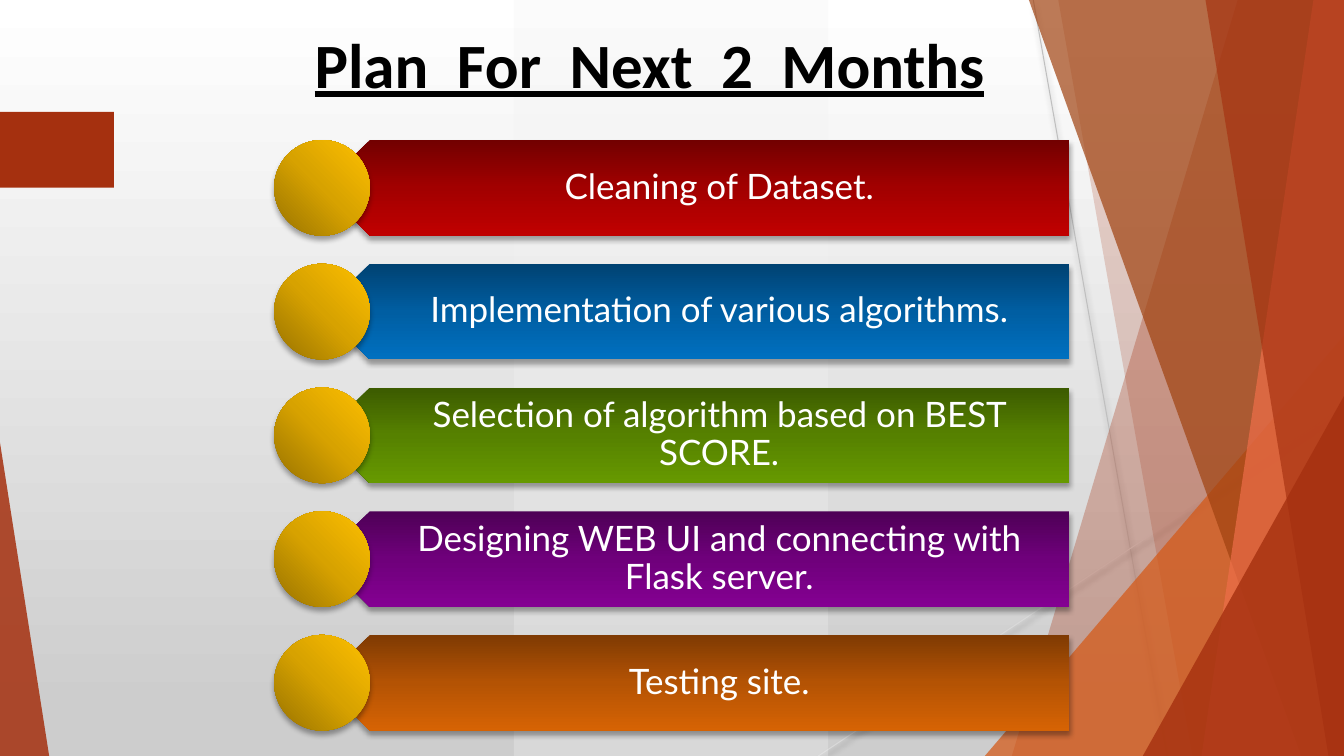
from dataclasses import dataclass

from lxml.etree import SubElement
from pptx import Presentation
from pptx.dml.color import RGBColor
from pptx.enum.shapes import MSO_CONNECTOR, MSO_SHAPE
from pptx.enum.text import MSO_ANCHOR, MSO_AUTO_SIZE, PP_ALIGN
from pptx.oxml.ns import qn
from pptx.util import Cm, Pt


@dataclass(frozen=True)
class Theme:
    title_font: str = "Calibri"
    step_font: str = "Lato"
    title_size: float = 45
    step_size: float = 25
    black: str = "000000"
    white: str = "FFFFFF"
    brick: str = "A5300F"
    orange: str = "D55816"
    brown: str = "A04210"
    coral: str = "EE6E4A"
    band: str = "F2F2F2"
    line_dark: str = "BFBFBF"
    line_light: str = "D9D9D9"
    backdrop: tuple = ((0, "FFFFFF"), (94, "CDCDCD"))
    gold: tuple = ((0, "977200"), (50, "D7A200"), (100, "FFC000"))


THEME = Theme()
WIDTH, HEIGHT = 33.87, 19.05

# Step text with its gradient from dark to bright
STEPS = [
    ("Cleaning of Dataset.", ("720000", "A20000", "C00000")),
    ("Implementation of various algorithms.", ("004272", "005EA2", "0070C0")),
    ("Selection of algorithm based on BEST SCORE.", ("3C5B00", "568100", "669900")),
    ("Designing WEB UI and connecting with Flask server.", ("4E0056", "6F007B", "840092")),
    ("Testing site.", ("7F3A03", "B45304", "D66304")),
]


def paint(shape, color, opacity=100):
    shape.shadow.inherit = False
    shape.line.fill.background()
    shape.fill.solid()
    shape.fill.fore_color.rgb = RGBColor.from_string(color)
    if opacity < 100:
        tint = shape._element.spPr.find(f"{qn('a:solidFill')}/{qn('a:srgbClr')}")
        SubElement(tint, qn("a:alpha"), val=str(opacity * 1000))


def set_gradient(properties, stops, angle):
    """Turn the solid fill of a properties element into a linear gradient."""
    gradient = SubElement(properties, qn("a:gradFill"), rotWithShape="1")
    properties.replace(properties.find(qn("a:solidFill")), gradient)
    stop_list = SubElement(gradient, qn("a:gsLst"))
    for position, color in stops:
        stop = SubElement(stop_list, qn("a:gs"), pos=str(position * 1000))
        SubElement(stop, qn("a:srgbClr"), val=color)
    SubElement(gradient, qn("a:lin"), ang=str(angle * 60000), scaled="0")


def add_shadow(properties):
    effects = properties.find(qn("a:effectLst"))
    if effects is None:
        effects = SubElement(properties, qn("a:effectLst"))
    shadow = SubElement(effects, qn("a:outerShdw"), blurRad=str(Pt(4)), dist=str(Pt(3)),
                        dir=str(90 * 60000), rotWithShape="0")
    tint = SubElement(shadow, qn("a:srgbClr"), val=THEME.black)
    SubElement(tint, qn("a:alpha"), val="35000")


def add_block(page, kind, box, color, opacity=100, adjustment=None):
    shape = page.shapes.add_shape(kind, *map(Cm, box))
    if adjustment is not None:
        shape.adjustments[0] = adjustment
    paint(shape, color, opacity)
    return shape


def add_glossy(page, kind, box, stops, angle):
    shape = add_block(page, kind, box, THEME.white)
    set_gradient(shape._element.spPr, stops, angle)
    add_shadow(shape._element.spPr)
    return shape


def format_text(paragraph, font, size, color):
    paragraph.alignment = PP_ALIGN.CENTER
    span = paragraph.runs[0]
    span.font.name = font
    span.font.size = Pt(size)
    span.font.color.rgb = RGBColor.from_string(color)
    return span


def add_thin_line(page, start, end, color):
    line = page.shapes.add_connector(MSO_CONNECTOR.STRAIGHT, *map(Cm, start + end))
    line.line.color.rgb = RGBColor.from_string(color)
    line.line.width = Pt(0.75)
    add_shadow(line._element.spPr)


def add_facet(page, box, top_x, bottom_x, color, opacity):
    """A panel with a slanted left side that fills the box up to its right side."""
    left, top, width, height = box
    right, bottom = left + width, top + height
    outline = page.shapes.build_freeform(Cm(top_x), Cm(top))
    corners = [(right, top), (right, bottom), (bottom_x, bottom)]
    outline.add_line_segments([(Cm(x), Cm(y)) for x, y in corners])
    paint(outline.convert_to_shape(), color, opacity)


def add_decoration(page, box):
    left, top, width, height = box
    right, bottom = left + width, top + height

    def corner_triangle(triangle_width, triangle_height, color, opacity):
        area = (right - triangle_width, bottom - triangle_height, triangle_width, triangle_height)
        add_block(page, MSO_SHAPE.ISOSCELES_TRIANGLE, area, color, opacity, 1)

    # Thin crossing lines
    add_thin_line(page, (left + 26.04, top), (left + 29.41, bottom), THEME.line_dark)
    add_thin_line(page, (right, top + 10.24), (left + 20.62, bottom), THEME.line_light)

    # Overlapping panels on the right
    add_facet(page, box, left + 31.19, left + 25.5, THEME.brick, 30)
    add_facet(page, box, left + 26.67, left + 30.05, THEME.brick, 20)
    corner_triangle(9.05, 10.59, THEME.orange, 72)
    add_facet(page, box, left + 25.93, left + 32.79, THEME.brown, 70)
    add_facet(page, box, left + 33.1, left + 30.28, THEME.coral, 70)
    add_facet(page, box, left + 30.38, left + 33.48, THEME.brick, 65)
    corner_triangle(5.07, 9.07, THEME.brick, 80)

    # Left wedge, pale middle band and side tab
    add_block(page, MSO_SHAPE.ISOSCELES_TRIANGLE, (left, bottom - 7.9, 1.24, 7.9),
              THEME.brick, 85, 0)
    add_block(page, MSO_SHAPE.PARALLELOGRAM, (left + 12.95, top, 7.92, height),
              THEME.band, 30, 0)
    add_block(page, MSO_SHAPE.RECTANGLE, (left, top + 2.82, 2.87, 1.91), THEME.brick)


def place_title(page, box, text):
    title = page.shapes.title
    title.left, title.top, title.width, title.height = map(Cm, box)
    frame = title.text_frame
    frame.text = text
    frame.vertical_anchor = MSO_ANCHOR.TOP
    frame.auto_size = MSO_AUTO_SIZE.SHAPE_TO_FIT_TEXT
    span = format_text(frame.paragraphs[0], THEME.title_font, THEME.title_size, THEME.black)
    span.font.bold = True
    span.font.underline = True
    page.shapes._spTree.append(title._element)  # in front of the decoration


def add_step(page, box, text, colors):
    left, top, width, height = box
    half = height / 2

    # Bar pointing left, half hidden by the circle
    bar = add_glossy(page, MSO_SHAPE.PENTAGON, (left + half, top, width - half, height),
                     list(zip((0, 50, 100), colors)), 270)
    bar.rotation = 180

    # Label
    indent = 1.8
    label = page.shapes.add_textbox(Cm(left + indent), Cm(top), Cm(width - indent), Cm(height))
    frame = label.text_frame
    frame.word_wrap = True
    frame.vertical_anchor = MSO_ANCHOR.MIDDLE
    frame.margin_left, frame.margin_right = Cm(1.07), Cm(0.48)
    frame.margin_top = frame.margin_bottom = Cm(0.25)
    frame.text = text
    para = frame.paragraphs[0]
    para.line_spacing = 0.9
    format_text(para, THEME.step_font, THEME.step_size, THEME.white)

    # Circle
    add_glossy(page, MSO_SHAPE.OVAL, (left, top, height, height), THEME.gold, 315)


def add_steps(page, box):
    left, top, width, height = box
    step_height = 2.41
    pitch = (height - step_height) / (len(STEPS) - 1)
    for index, (text, colors) in enumerate(STEPS):
        add_step(page, (left, top + index * pitch, width, step_height), text, colors)


def main():
    deck = Presentation()
    deck.slide_width, deck.slide_height = Cm(WIDTH), Cm(HEIGHT)
    page = deck.slides.add_slide(deck.slide_layouts[5])
    page.background.fill.solid()
    set_gradient(page._element.find(f".//{qn('p:bgPr')}"), THEME.backdrop, 90)
    add_decoration(page, (0, 0, WIDTH, HEIGHT))
    place_title(page, (4.09, 0.51, 24.56, 2.18), "Plan  For  Next  2  Months")
    add_steps(page, (6.91, 3.53, 20.04, 14.88))
    deck.save("out.pptx")


if __name__ == "__main__":
    main()
